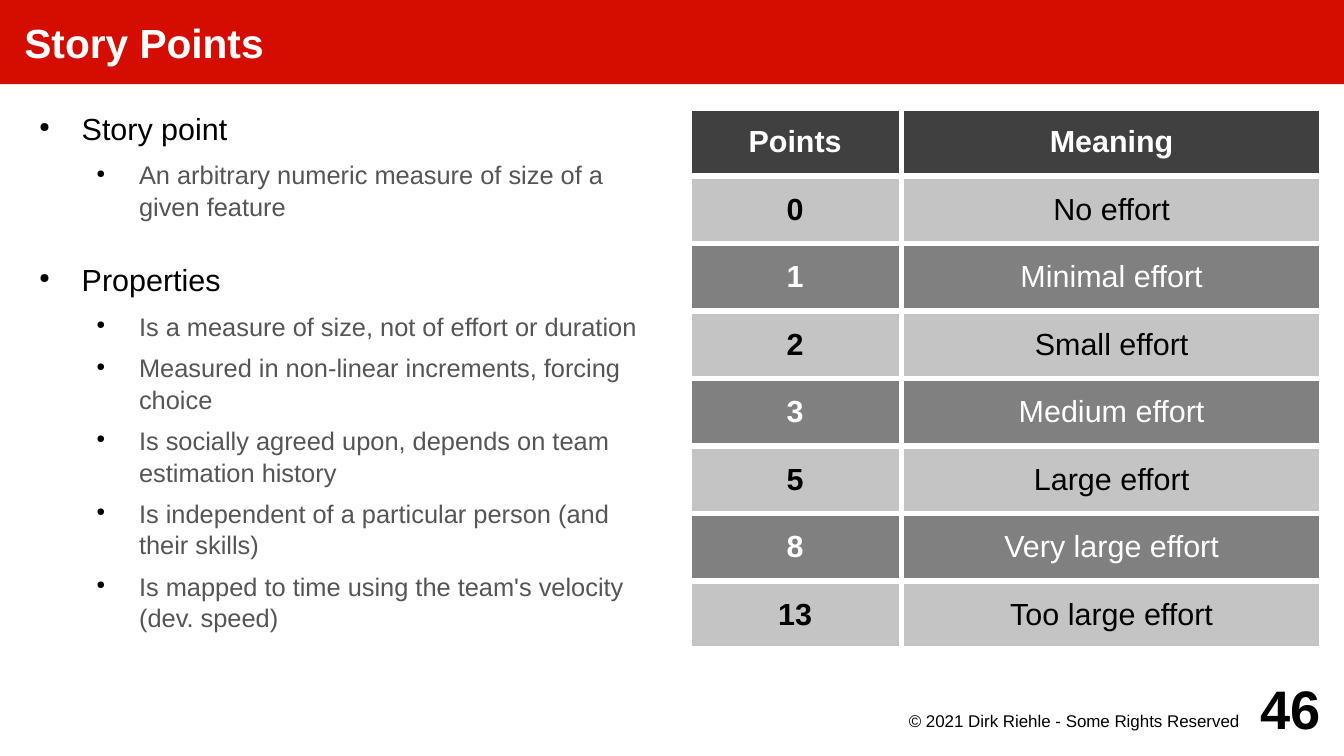
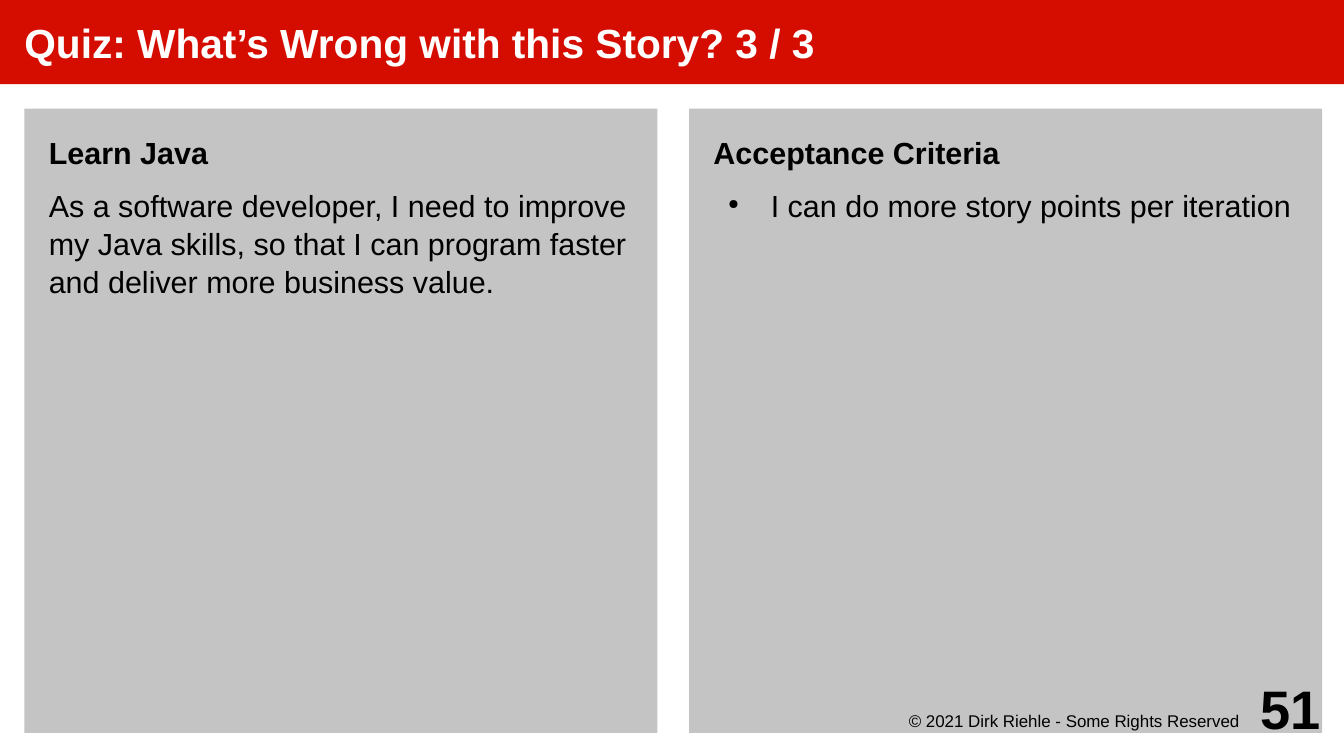
from lxml import etree
from pptx import Presentation
from pptx.dml.color import RGBColor
from pptx.enum.shapes import MSO_SHAPE as Shape
from pptx.enum.text import MSO_ANCHOR as Anchor, MSO_AUTO_SIZE as Auto, PP_ALIGN as Align
from pptx.oxml.ns import qn
from pptx.util import Inches, Pt

# Content: paragraphs are (kind, text)
POINTS = [
    ("top", "Story point"),
    ("sub", "An arbitrary numeric measure of size of a given feature"),
    ("part", "Properties"),
    ("sub", "Is a measure of size, not of effort or duration"),
    ("sub", "Measured in non-linear increments, forcing choice"),
    ("sub", "Is socially agreed upon, depends on team estimation history"),
    ("sub", "Is independent of a particular person (and their skills)"),
    ("sub", "Is mapped to time using the team's velocity (dev. speed)"),
]
SCALE = [
    ("Points", "Meaning"),
    ("0", "No effort"),
    ("1", "Minimal effort"),
    ("2", "Small effort"),
    ("3", "Medium effort"),
    ("5", "Large effort"),
    ("8", "Very large effort"),
    ("13", "Too large effort"),
]
QUIZ = [
    [("head", "Learn Java"),
     ("text", "As a software developer, I need to improve my Java skills, so that "
              "I can program faster and deliver more business value.")],
    [("head", "Acceptance Criteria"),
     ("top", "I can do more story points per iteration")],
]
RIGHTS = "© 2021 Dirk Riehle - Some Rights Reserved"

# Shared style
FONT = "Arial"
RED, WHITE, BLACK = "D50D01", "FFFFFF", "000000"
DARK, MID, LIGHT, INK = "404040", "808080", "C4C4C4", "555555"
WIDE, HIGH, BAND = 11.02, 6.2, 0.69
LEFT, RIGHT, TOP, COL = 0.2, 5.65, 0.89, 5.19
HANG = 0.35

# kind: size, colour, bold, indent (None = no bullet), space before, space after
KINDS = {
    "top": (18, BLACK, False, 0.47, 4.2, 4.2),
    "part": (18, BLACK, False, 0.47, 19.7, 4.2),
    "sub": (15, INK, False, 0.94, 2.8, 2.8),
    "head": (18, BLACK, True, None, 4.2, 4.2),
    "text": (18, BLACK, False, None, 4.2, 4.2),
}


def rgb(code):
    return RGBColor.from_string(code)


def style(para, size, color, bold=False, align=Align.LEFT):
    para.alignment = align
    font = para.font
    font.name, font.size, font.bold = FONT, Pt(size), bold
    font.color.rgb = rgb(color)


def setup(frame, pads=(0, 0, 0, 0), anchor=Anchor.TOP):
    frame.word_wrap = True
    frame.auto_size = Auto.NONE
    frame.vertical_anchor = anchor
    (frame.margin_left, frame.margin_top,
     frame.margin_right, frame.margin_bottom) = map(Inches, pads)


def add_box(slide, x, y, w, h):
    return slide.shapes.add_textbox(*map(Inches, (x, y, w, h)))


def bullet(para, indent):
    props = para._p.get_or_add_pPr()
    props.set("marL", str(Inches(indent)))
    props.set("indent", str(-Inches(HANG)))
    tint = etree.SubElement(props, qn("a:buClr"))
    etree.SubElement(tint, qn("a:srgbClr"), val=BLACK)
    etree.SubElement(props, qn("a:buSzPct"), val="45000")
    etree.SubElement(props, qn("a:buChar"), char="●")


def write(frame, items):
    for i, (kind, text) in enumerate(items):
        size, color, bold, indent, before, after = KINDS[kind]
        para = frame.add_paragraph() if i else frame.paragraphs[0]
        para.text = text
        if indent is not None:
            bullet(para, indent)
        para.line_spacing = 1.04
        para.space_before = Pt(before if i else 0)
        para.space_after = Pt(after)
        style(para, size, color, bold)


def add_slide(deck, text):
    slide = deck.slides.add_slide(deck.slide_layouts[5])
    title = slide.shapes.title
    title.left, title.top = 0, 0
    title.width, title.height = Inches(WIDE), Inches(BAND)
    title.fill.solid()
    title.fill.fore_color.rgb = rgb(RED)
    title.text = text
    setup(title.text_frame, (0.2, 0, 0, 0), Anchor.MIDDLE)
    style(title.text_frame.paragraphs[0], 24, WHITE, True)
    return slide


def footer(slide, page):
    rights = add_box(slide, 7.09, 5.81, 3.15, 0.3).text_frame
    rights.text = RIGHTS
    setup(rights, (0, 0.02, 0.08, 0))
    style(rights.paragraphs[0], 10, BLACK, align=Align.RIGHT)
    number = add_box(slide, 10.04, 5.51, 0.79, 0.59).text_frame
    number.text = str(page)
    setup(number, anchor=Anchor.MIDDLE)
    style(number.paragraphs[0], 32, BLACK, True, Align.RIGHT)


def border(cell, color, width):
    props = cell._tc.get_or_add_tcPr()
    for side in ("lnL", "lnR", "lnT", "lnB"):
        line = etree.SubElement(props, qn("a:" + side), w=str(Pt(width)))
        fill = etree.SubElement(line, qn("a:solidFill"))
        etree.SubElement(fill, qn("a:srgbClr"), val=color)


def add_scale(slide):
    widths, height = (1.74, 3.45), 4.43
    grid = slide.shapes.add_table(
        len(SCALE), len(widths),
        *map(Inches, (RIGHT, TOP, sum(widths), height))).table
    grid.horz_banding = False
    for col, width in zip(grid.columns, widths):
        col.width = Inches(width)
    for r, row in enumerate(SCALE):
        grid.rows[r].height = Inches(height / len(SCALE))
        back = DARK if r == 0 else LIGHT if r % 2 else MID
        for c, text in enumerate(row):
            cell = grid.cell(r, c)
            cell.text = text
            cell.vertical_anchor = Anchor.MIDDLE
            cell.margin_left = cell.margin_right = Inches(0.08)
            border(cell, WHITE, 3.4)
            cell.fill.solid()
            cell.fill.fore_color.rgb = rgb(back)
            style(cell.text_frame.paragraphs[0], 18,
                  BLACK if back == LIGHT else WHITE,
                  r == 0 or c == 0, Align.CENTER)


def add_panel(slide, x, items):
    panel = slide.shapes.add_shape(
        Shape.RECTANGLE, *map(Inches, (x, TOP, COL, 5.12)))
    panel.shadow.inherit = False
    panel.fill.solid()
    panel.fill.fore_color.rgb = rgb(LIGHT)
    panel.line.fill.background()
    setup(panel.text_frame, (0.2, 0.2, 0.2, 0))
    write(panel.text_frame, items)


def main():
    deck = Presentation()
    deck.slide_width, deck.slide_height = Inches(WIDE), Inches(HIGH)

    # Story points: bullets and scale
    slide = add_slide(deck, "Story Points")
    body = add_box(slide, LEFT, TOP, COL, 4.53).text_frame
    setup(body)
    write(body, POINTS)
    add_scale(slide)
    footer(slide, 46)

    # Quiz: two panels
    slide = add_slide(deck, "Quiz: What’s Wrong with this Story? 3 / 3")
    for x, items in zip((LEFT, RIGHT), QUIZ):
        add_panel(slide, x, items)
    footer(slide, 51)

    deck.save("out.pptx")


if __name__ == "__main__":
    main()
